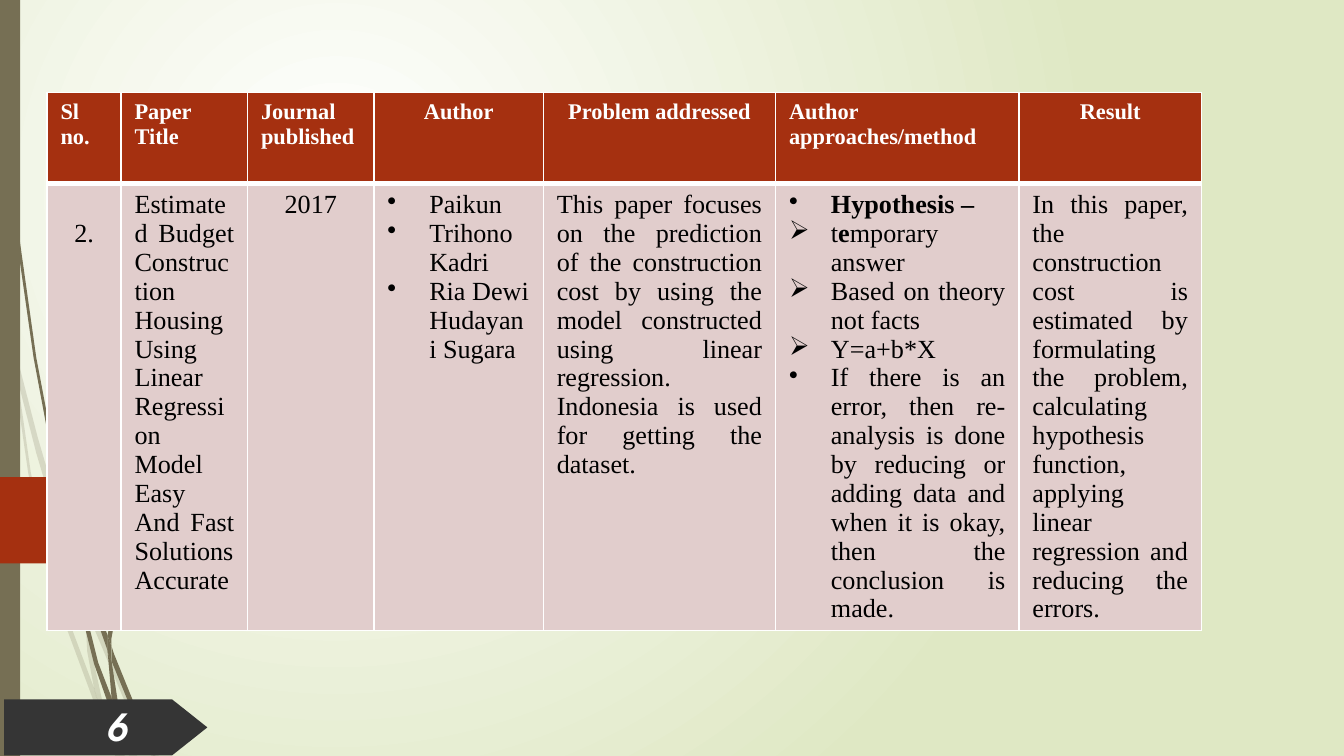
from lxml.etree import SubElement
from pptx import Presentation
from pptx.dml.color import RGBColor
from pptx.enum.shapes import MSO_SHAPE as Shape
from pptx.enum.text import MSO_ANCHOR as Anchor, PP_ALIGN as Align
from pptx.oxml import parse_xml
from pptx.oxml.ns import nsdecls, qn
from pptx.util import Cm, Pt

COLORS = {
    "white": "FFFFFF", "meadow": "DFE8C4", "stem": "766F54", "rust": "A53010",
    "charcoal": "353535", "number": "FEFFFF", "blush": "E1CDCC", "ink": "000000",
}
SERIF = "Times New Roman"
HUNDREDTH_INCH = Cm(2.54) / 100
INDENT = Cm(0.79)

FAINT_STEMS = [
    [(43, 391), (63, 449), (64, 440), (47, 390), (28, 325), (11, 259), (13, 282), (27, 337)],
    [(69, 455), (66, 447), (66, 458), (92, 520), (113, 563), (116, 563), (95, 519)],
    [(89, 563), (93, 563), (79, 533)],
    [(70, 512), (52, 464), (36, 409), (23, 352), (13, 282), (8, 263), (21, 352),
     (33, 410), (49, 466), (69, 520), (76, 536), (74, 530)],
    [(63, 449), (65, 485), (70, 512), (72, 519), (79, 533), (78, 530), (68, 484),
     (66, 458), (66, 456)],
    [(76, 536), (86, 563), (89, 563)],
    [(72, 519), (70, 512), (74, 530), (76, 536), (89, 563), (79, 533)],
]
DARK_STEMS = [
    [(5, 82), (12, 175), (25, 266), (42, 357), (43, 361), (41, 343), (41, 340),
     (27, 266), (14, 174), (6, 82), (3, 36), (3, 0), (2, 0), (3, 36)],
    [(66, 444), (80, 484), (80, 475), (80, 473), (70, 443), (45, 354), (48, 379)],
    [(85, 487), (83, 481), (83, 492), (99, 531), (114, 562), (118, 562), (102, 529)],
    [(83, 519), (73, 493), (54, 417), (48, 379), (43, 358), (51, 418), (70, 494),
     (83, 531), (88, 541), (87, 538)],
    [(100, 562), (102, 562), (91, 539)],
    [(83, 475), (94, 414), (119, 357), (153, 305), (173, 281), (196, 258), (195, 258),
     (173, 280), (153, 304), (117, 356), (92, 413), (80, 473), (83, 481)],
    [(88, 541), (96, 562), (98, 562)],
    [(80, 484), (83, 519), (87, 530), (91, 539), (90, 537), (83, 492), (81, 488)],
    [(80, 484), (81, 488), (83, 492), (83, 481), (80, 473), (80, 475)],
    [(87, 530), (83, 519), (87, 538), (88, 541), (98, 562), (100, 562), (91, 539)],
]

COLUMN_WIDTHS = [1.4, 2.39, 2.39, 3.2, 4.39, 4.6, 3.45]
HEADINGS = [
    ("Sl no.", Align.LEFT), ("Paper Title", Align.LEFT), ("Journal published", Align.LEFT),
    ("Author", Align.CENTER), ("Problem addressed", Align.CENTER),
    ("Author approaches/method", Align.LEFT), ("Result", Align.CENTER),
]
PAPER = [
    (Align.CENTER, [("", "2.")]),
    (Align.JUSTIFY, [("", "Estimated Budget Construction Housing Using Linear Regression "
                          "Model Easy And Fast Solutions Accurate")]),
    (Align.CENTER, [("", "2017")]),
    (Align.LEFT, [("•", "Paikun"), ("•", "Trihono Kadri"), ("•", "Ria Dewi Hudayani Sugara")]),
    (Align.JUSTIFY, [("", "This paper focuses on the prediction of the construction cost by "
                          "using the model constructed using linear regression. Indonesia is "
                          "used for getting the dataset.")]),
    (Align.JUSTIFY, [
        ("•", "**Hypothesis –"),
        ("➢", "t**e**mporary answer"),
        ("➢", "Based on theory not facts"),
        ("➢", "Y=a+b*X"),
        ("•", "If there is an error, then re-analysis is done by reducing or adding data "
              "and when it is okay, then the conclusion is made."),
    ]),
    (Align.JUSTIFY, [("", "In this paper, the construction cost is estimated by formulating "
                          "the problem, calculating hypothesis function, applying linear "
                          "regression and reducing the errors.")]),
]


def rgb(color):
    """Return the named colour."""
    return RGBColor.from_string(COLORS[color])


def write(paragraph, text, *, size, color, font=SERIF, bold=False, italic=False,
          align=Align.LEFT, bullet=""):
    """Write text into a paragraph, toggling bold at each double asterisk."""
    paragraph.alignment = align
    for position, part in enumerate(text.split("**")):
        if part:
            run = paragraph.add_run()
            run.text = part
            run.font.name, run.font.size = font, Pt(size)
            run.font.bold, run.font.italic = bold != bool(position % 2), italic
            run.font.color.rgb = rgb(color)
    if bullet:
        properties = paragraph._p.get_or_add_pPr()
        properties.set("marL", str(INDENT))
        properties.set("indent", str(-INDENT))
        SubElement(properties, qn("a:buChar")).set("char", bullet)


def paint(shape, color, opacity=100):
    """Give a shape a plain fill without line or shadow."""
    shape.shadow.inherit = False
    shape.line.fill.background()
    shape.fill.solid()
    shape.fill.fore_color.rgb = rgb(color)
    if opacity < 100:
        tint = shape.fill._xPr.find(qn("a:solidFill"))[0]
        SubElement(tint, qn("a:alpha")).set("val", str(opacity * 1000))


def add_background(slide):
    """Fill the background with a radial glow."""
    fill = slide.background.fill
    fill.gradient()
    for stop, color in zip(fill.gradient_stops, ("white", "meadow")):
        stop.color.rgb = rgb(color)
    gradient = fill._xPr.find(qn("a:gradFill"))
    glow = parse_xml(
        f'<a:path {nsdecls("a")} path="circle">'
        '<a:fillToRect l="50000" t="50000" r="100000" b="100000"/></a:path>')
    gradient.replace(gradient.find(qn("a:lin")), glow)


def add_stem(slide, outline, opacity):
    """Draw one grass stem from its outline in hundredths of an inch."""
    builder = slide.shapes.build_freeform(*outline[0], scale=HUNDREDTH_INCH)
    builder.add_line_segments(outline[1:], close=True)
    paint(builder.convert_to_shape(), "stem", opacity)


def add_block(slide, kind, box, color, tip=None):
    """Add a preset shape, with the length of its tip if it has one."""
    block = slide.shapes.add_shape(kind, *map(Cm, box))
    paint(block, color)
    if tip:
        block.adjustments[0] = tip


def set_borders(cell, **widths):
    """Draw white borders of the given widths in points."""
    properties = cell._tc.get_or_add_tcPr()
    for side in "LRTB":
        properties.append(parse_xml(
            f'<a:ln{side} {nsdecls("a")} w="{Pt(widths.get(side, 1))}"><a:solidFill>'
            f'<a:srgbClr val="{COLORS["white"]}"/></a:solidFill></a:ln{side}>'))


def fill_cell(cell, background, paragraphs, **text_format):
    """Colour a cell and write its paragraphs."""
    cell.fill.solid()
    cell.fill.fore_color.rgb = rgb(background)
    frame = cell.text_frame
    for position, (bullet, text) in enumerate(paragraphs):
        paragraph = frame.add_paragraph() if position else frame.paragraphs[0]
        write(paragraph, text, bullet=bullet, **text_format)


def add_review_table(slide):
    """Add the literature review table."""
    table = slide.shapes.add_table(2, len(HEADINGS), Cm(0.89), Cm(1.75),
                                   Cm(sum(COLUMN_WIDTHS)), Cm(10.17)).table
    for column, width in zip(table.columns, COLUMN_WIDTHS):
        column.width = Cm(width)
    for row, height in zip(table.rows, (1.72, 8.45)):
        row.height = Cm(height)
    for column, (heading, align) in enumerate(HEADINGS):
        cell = table.cell(0, column)
        set_borders(cell, B=3)
        fill_cell(cell, "rust", [("", heading)], size=12, color="white", bold=True, align=align)
    for column, (align, paragraphs) in enumerate(PAPER):
        cell = table.cell(1, column)
        set_borders(cell, T=3)
        fill_cell(cell, "blush", paragraphs, size=14, color="ink", align=align)
    table.cell(1, 0).margin_top = Cm(0.67)


def add_page_number(slide, number):
    """Write the page number on the dark arrow."""
    frame = slide.shapes.add_textbox(Cm(1.42), Cm(13.34), Cm(1.63), Cm(0.79)).text_frame
    frame.word_wrap = True
    frame.vertical_anchor = Anchor.MIDDLE
    write(frame.paragraphs[0], number, size=20, color="number", font="TeX Gyre Adventor",
          bold=True, italic=True, align=Align.CENTER)


def main():
    """Build the literature review slide."""
    deck = Presentation()
    deck.slide_width, deck.slide_height = Cm(25.4), Cm(14.29)
    slide = deck.slides.add_slide(deck.slide_layouts[6])
    add_background(slide)
    for stems, opacity in ((FAINT_STEMS, 20), (DARK_STEMS, 100)):
        for outline in stems:
            add_stem(slide, outline, opacity)
    add_block(slide, Shape.RECTANGLE, (0, 0, 0.38, 14.29), "stem")
    add_block(slide, Shape.PENTAGON, (0.08, 13.22, 3.84, 1.06), "charcoal", tip=0.63)
    add_block(slide, Shape.PENTAGON, (0, 9.02, 3.63, 1.63), "rust", tip=0.47)
    add_review_table(slide)
    add_page_number(slide, "6")
    deck.save("out.pptx")


if __name__ == "__main__":
    main()
